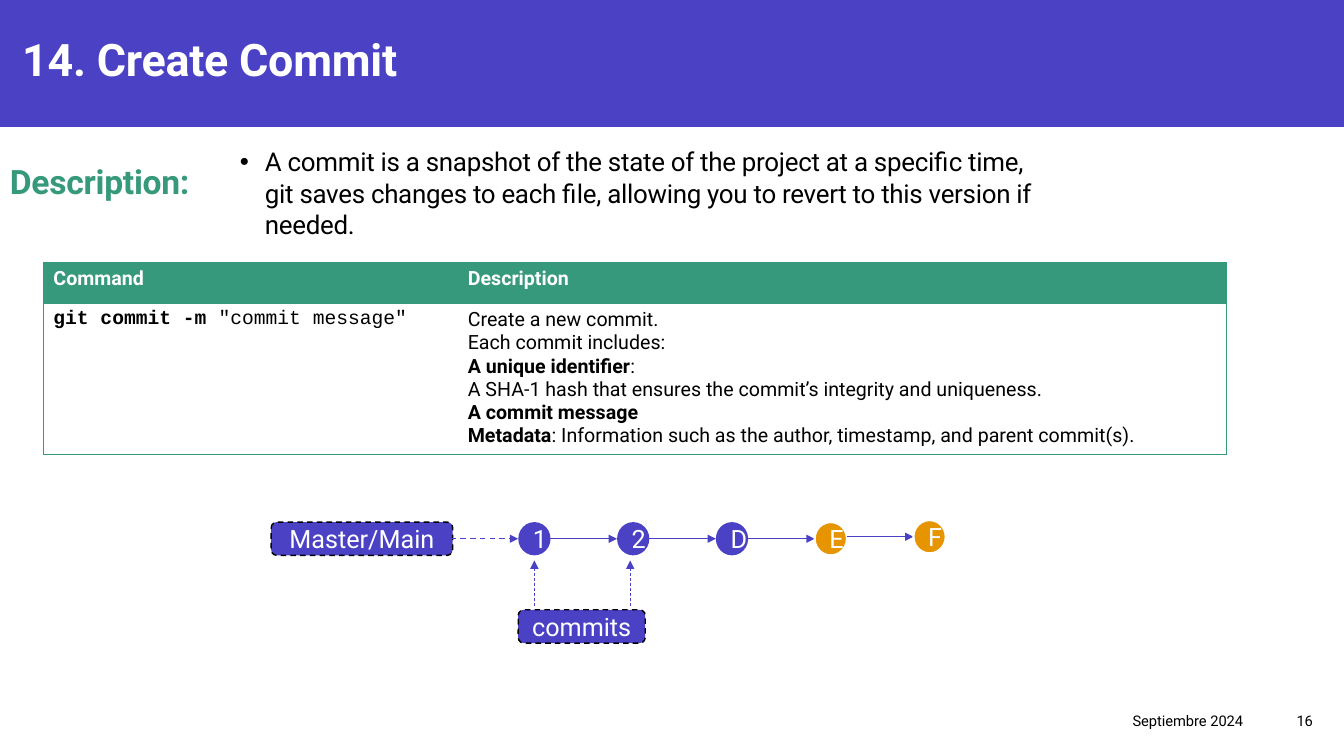
"""Build the "Create Commit" slide: description, command table and commit graph."""
from pptx import Presentation
from pptx.dml.color import RGBColor
from pptx.enum.dml import MSO_LINE
from pptx.enum.shapes import MSO_CONNECTOR, MSO_SHAPE
from pptx.enum.text import MSO_ANCHOR, PP_ALIGN
from pptx.oxml.ns import qn
from pptx.util import Inches, Pt
from lxml import etree

TOP, MIDDLE, BOTTOM = MSO_ANCHOR.TOP, MSO_ANCHOR.MIDDLE, MSO_ANCHOR.BOTTOM
LEFT, CENTER, RIGHT = PP_ALIGN.LEFT, PP_ALIGN.CENTER, PP_ALIGN.RIGHT
RECT, ROUNDED, OVAL = MSO_SHAPE.RECTANGLE, MSO_SHAPE.ROUNDED_RECTANGLE, MSO_SHAPE.OVAL
STRAIGHT, DASH = MSO_CONNECTOR.STRAIGHT, MSO_LINE.DASH
PURPLE, GREEN, ORANGE, WHITE, BLACK = "4A41C5", "37997B", "E69500", "FFFFFF", "000000"
BODY_FONT, CODE_FONT = "Roboto", "Courier New"

TITLE = "14. Create Commit"
HEADING = "Description:"
SUMMARY = ("A commit is a snapshot of the state of the project at a specific time, git saves "
           "changes to each file, allowing you to revert to this version if needed.")
FOOTER = [("Septiembre 2024", 7.67, 4.76), ("16", 12.43, 0.69)]
HEADERS = ["Command", "Description"]
COMMAND = [[("git commit -m ", True), ("\"commit message\"", False)]]
DETAILS = [
    [("Create a new commit.", False)],
    [("Each commit includes:", False)],
    [("A unique identifier", True), (":", False)],
    [("A SHA-1 hash that ensures the commit’s integrity and uniqueness.", False)],
    [("A commit message", True)],
    [("Metadata", True),
     (": Information such as the author, timestamp, and parent commit(s).", False)],
]
COMMITS = [("1", PURPLE, 0), ("2", PURPLE, 0), ("D", PURPLE, 0),
           ("E", ORANGE, 0), ("F", ORANGE, 0.02)]
BRANCH_LABEL, COMMITS_LABEL = "Master/Main", "commits"

WIDTH, HEIGHT = 13.33, 7.5
COLUMNS, ROWS = [4.11, 7.62], [0.41, 1.5]
GRAPH_LEFT, GRAPH_TOP, PITCH = 5.14, 5.18, 0.98
NODE_W, NODE_H = 0.32, 0.33
POINTERS = [5.3, 6.25]


def rgb(color):
    return RGBColor.from_string(color)


def style(run, size, color, bold=False, font=BODY_FONT, spacing=None):
    run.font.name, run.font.size, run.font.bold = font, Pt(size), bold
    run.font.color.rgb = rgb(color)
    if spacing is not None:
        run.font._element.set("spc", str(int(spacing * 100)))


def write(frame, text, size, color, align=LEFT, anchor=TOP, bold=False, spacing=None):
    frame.text, frame.word_wrap, frame.vertical_anchor = text, True, anchor
    paragraph = frame.paragraphs[0]
    paragraph.alignment = align
    style(paragraph.runs[0], size, color, bold, spacing=spacing)
    return paragraph


def box(slide, x, y, w, h):
    area = slide.shapes.add_textbox(Inches(x), Inches(y), Inches(w), Inches(h))
    return area.text_frame


def block(slide, kind, x, y, w, h, fill, outline=None, weight=1.0, dash=None):
    part = slide.shapes.add_shape(kind, Inches(x), Inches(y), Inches(w), Inches(h))
    part.shadow.inherit = False
    part.fill.solid()
    part.fill.fore_color.rgb = rgb(fill)
    if outline:
        part.line.color.rgb, part.line.width = rgb(outline), Pt(weight)
        part.line.dash_style = dash
    else:
        part.line.fill.background()
    return part


def label(slide, text, x, y, w):
    part = block(slide, ROUNDED, x, y, w, NODE_H, PURPLE, BLACK, dash=DASH)
    write(part.text_frame, text, 18, WHITE, CENTER, MIDDLE)


def arrow(slide, x1, y1, x2, y2, weight=1.0, dash=None):
    link = slide.shapes.add_connector(STRAIGHT, *map(Inches, (x1, y1, x2, y2)))
    link.line.color.rgb, link.line.width = rgb(PURPLE), Pt(weight)
    link.line.dash_style = dash
    etree.SubElement(link.line._get_or_add_ln(), qn("a:tailEnd"), type="triangle")
    etree.SubElement(link._element.spPr, qn("a:effectLst"))


def border(cell, sides):
    props = cell._tc.get_or_add_tcPr()
    for index, side in enumerate("LRTB"):
        edge = etree.Element(qn("a:ln" + side), w=str(Pt(0.5)))
        if side in sides:
            paint = etree.SubElement(edge, qn("a:solidFill"))
            etree.SubElement(paint, qn("a:srgbClr"), val=GREEN)
        else:
            etree.SubElement(edge, qn("a:noFill"))
        props.insert(index, edge)


def fill_cell(cell, lines, color, font):
    cell.text = "\n".join("" for _ in lines)
    for paragraph, pieces in zip(cell.text_frame.paragraphs, lines):
        for text, bold in pieces:
            run = paragraph.add_run()
            run.text = text
            style(run, 14, color, bold, font)


def add_header(slide):
    banner = block(slide, RECT, 0, 0, WIDTH, 1.26, PURPLE)
    slide.shapes.element.insert(2, banner.element)
    title = slide.shapes.title
    title.left, title.top, title.width, title.height = map(Inches, (0.12, 0.25, 13, 0.65))
    write(title.text_frame, TITLE, 32, WHITE, anchor=BOTTOM, bold=True, spacing=-0.2)


def add_description(slide):
    heading = write(box(slide, 0, 1.51, 3.11, 0.65), HEADING, 24, GREEN, bold=True, spacing=-0.2)
    heading.line_spacing = 1.1
    summary = write(box(slide, 2.28, 1.4, 8.14, 1.08), SUMMARY, 18.5, BLACK, spacing=-0.2)
    props = summary._p.get_or_add_pPr()
    props.set("marL", str(Inches(0.25)))
    props.set("indent", str(-Inches(0.25)))
    etree.SubElement(props, qn("a:buFont"), typeface="Arial")
    etree.SubElement(props, qn("a:buChar"), char="•")


def add_commands(slide):
    frame = slide.shapes.add_table(2, 2, Inches(0.43), Inches(2.6),
                                   Inches(sum(COLUMNS)), Inches(sum(ROWS)))
    table = frame.table
    for column, width in zip(table.columns, COLUMNS):
        column.width = Inches(width)
    for row, height in zip(table.rows, ROWS):
        row.height = Inches(height)
    content = [[[[(name, True)]] for name in HEADERS], [COMMAND, DETAILS]]
    for r, cells in enumerate(content):
        for c, lines in enumerate(cells):
            cell = table.cell(r, c)
            cell.fill.solid()
            cell.fill.fore_color.rgb = rgb(WHITE if r else GREEN)
            font = CODE_FONT if lines is COMMAND else BODY_FONT
            fill_cell(cell, lines, BLACK if r else WHITE, font)
            border(cell, "LR"[c] + ("TB" if r else "T"))


def add_graph(slide):
    middle = GRAPH_TOP + NODE_H / 2
    label(slide, BRANCH_LABEL, 2.69, GRAPH_TOP, 1.8)
    arrow(slide, 4.47, middle, GRAPH_LEFT, middle, dash=DASH)
    for i, (name, color, lift) in enumerate(COMMITS):
        x = GRAPH_LEFT + i * PITCH
        if i:
            arrow(slide, x - PITCH + NODE_W, middle - lift, x, middle - lift)
        outline = WHITE if color == ORANGE else None
        node = block(slide, OVAL, x, GRAPH_TOP - lift, NODE_W, NODE_H, color, outline, 1.5)
        write(node.text_frame, name, 18, WHITE, CENTER, MIDDLE)
    label(slide, COMMITS_LABEL, GRAPH_LEFT, 6.05, 1.26)
    for x in POINTERS:
        arrow(slide, x, 6.01, x, 5.56, 0.5, DASH)


def main():
    deck = Presentation()
    deck.slide_width, deck.slide_height = Inches(WIDTH), Inches(HEIGHT)
    slide = deck.slides.add_slide(deck.slide_layouts[5])
    add_header(slide)
    add_description(slide)
    add_commands(slide)
    add_graph(slide)
    for text, x, width in FOOTER:
        write(box(slide, x, 6.95, width, 0.4), text, 10.5, BLACK, RIGHT, MIDDLE)
    deck.save("out.pptx")


if __name__ == "__main__":
    main()
